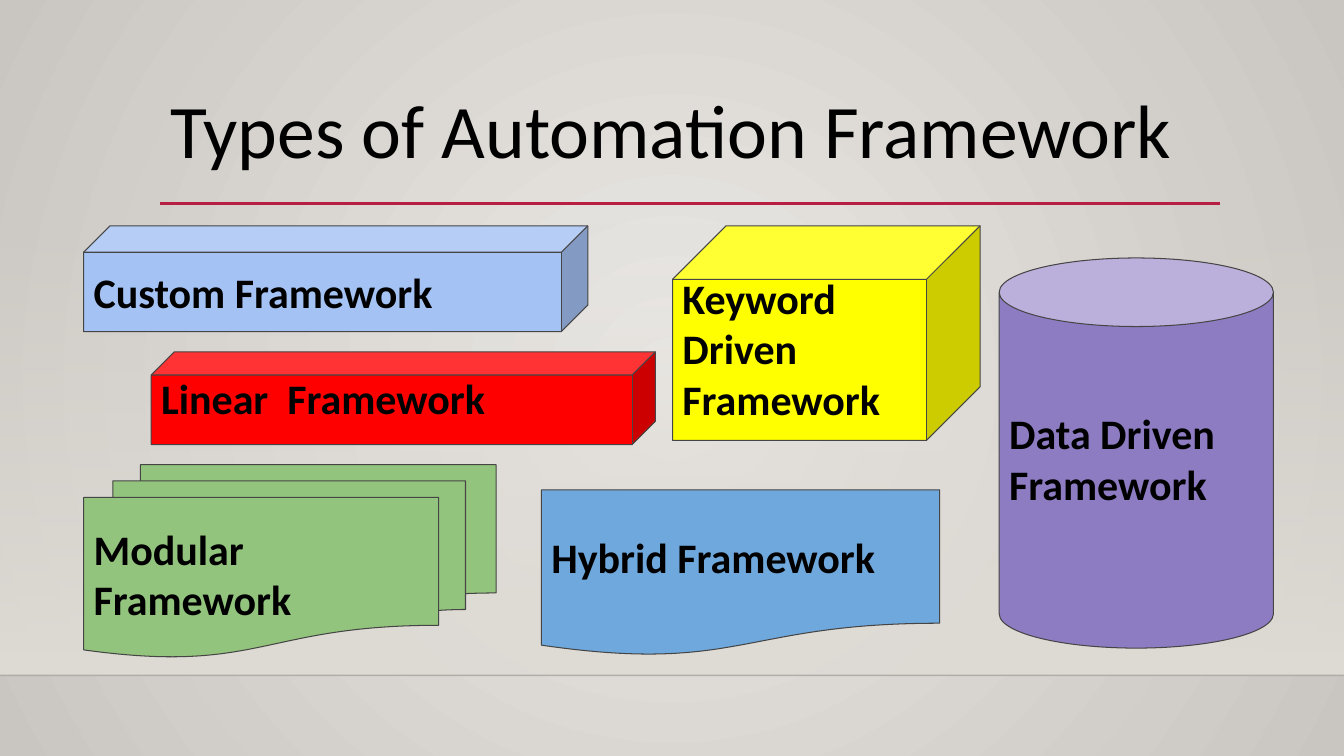
from lxml.etree import SubElement
from pptx import Presentation
from pptx.dml.color import RGBColor
from pptx.enum.shapes import MSO_CONNECTOR, MSO_SHAPE
from pptx.enum.text import MSO_ANCHOR, PP_ALIGN
from pptx.oxml.ns import qn
from pptx.util import Inches, Pt


def color(code):
    return RGBColor.from_string(code)


def fade(node, percent):
    """Set the opacity of a colour node."""
    SubElement(node, qn("a:alpha")).set("val", str(percent * 1000))


class Board:
    font, ink, edge = "Calibri", "000000", "454545"

    def __init__(self, slide):
        self.slide = slide

    def blend(self, fill, first, last):
        fill.gradient()
        for stop, code in zip(fill.gradient_stops, (first, last)):
            stop.color.rgb = color(code)

    def backdrop(self, inner, outer):
        self.blend(self.slide.background.fill, inner, outer)
        lin = self.slide.element.find(".//" + qn("a:lin"))
        grad = lin.getparent()
        grad.remove(lin)
        glow = SubElement(grad, qn("a:path"))
        glow.set("path", "circle")
        rect = SubElement(glow, qn("a:fillToRect"))
        for side in "ltrb":
            rect.set(side, "50000")

    def shape(self, kind, box):
        item = self.slide.shapes.add_shape(kind, *map(Inches, box))
        item.shadow.inherit = False
        return item

    def veil(self, box, code):
        item = self.shape(MSO_SHAPE.RECTANGLE, box)
        item.line.fill.background()
        self.blend(item.fill, code, code)
        item.fill.gradient_angle = 270
        fade(item.element.spPr.find(".//" + qn("a:srgbClr")), 0)

    def rule(self, left, right, y, code, width, alpha=100):
        line = self.slide.shapes.add_connector(
            MSO_CONNECTOR.STRAIGHT, *map(Inches, (left, y, right, y)))
        line.line.color.rgb = color(code)
        line.line.width = Pt(width)
        if alpha < 100:
            fade(line.element.spPr.find(".//" + qn("a:srgbClr")), alpha)
        SubElement(line.element.spPr, qn("a:effectLst"))

    def label(self, frame, text, size, bold=False):
        frame.word_wrap = True
        para = frame.paragraphs[0]
        para.alignment = PP_ALIGN.LEFT
        run = para.add_run()
        run.text = text
        run.font.name = self.font
        run.font.size = Pt(size)
        run.font.bold = bold
        run.font.color.rgb = color(self.ink)
        return para

    def title(self, box, text):
        frame = self.slide.shapes.add_textbox(*map(Inches, box)).text_frame
        frame.vertical_anchor = MSO_ANCHOR.TOP
        self.label(frame, text, 54).line_spacing = 0.9

    def block(self, kind, box, code, text, lift=0):
        item = self.shape(kind, box)
        item.fill.solid()
        item.fill.fore_color.rgb = color(code)
        item.line.color.rgb = color(self.edge)
        item.line.width = Pt(0.75)
        if len(item.adjustments):
            item.adjustments[0] = 0.25
        frame = item.text_frame
        frame.vertical_anchor = MSO_ANCHOR.MIDDLE
        frame.margin_left = frame.margin_right = Inches(0.1)
        frame.margin_top = Inches(0.1)
        frame.margin_bottom = Inches(0.1 + lift)
        self.label(frame, text, 30, True).space_before = Pt(10)


def main():
    deck = Presentation()
    deck.slide_width, deck.slide_height = Inches(13.33), Inches(7.5)
    board = Board(deck.slides.add_slide(deck.slide_layouts[6]))

    # Backdrop and floor line
    board.backdrop("EBE9E6", "C9C5C0")
    board.veil((0, 2.21, 13.33, 4.49), "DFDBD5")
    board.rule(0, 13.33, 6.7, "000001", 1, 20)

    # Title and its underline
    board.rule(1.59, 12.1, 2.02, "B71E42", 2.5)
    board.title((1.59, 0.88, 10.5, 1.15), "Types of Automation Framework")

    # Framework types; lift raises the label above the middle
    cube, lift = MSO_SHAPE.CUBE, 0.24
    for block in (
        (cube, (0.83, 2.24, 5, 1.05), "A4C2F4", "Custom Framework"),
        (cube, (1.5, 3.49, 5, 0.92), "FF0000", "Linear  Framework", lift),
        (cube, (6.67, 2.24, 3.05, 2.13), "FFFF00",
         "Keyword Driven Framework", lift),
        (MSO_SHAPE.CAN, (9.91, 2.56, 2.72, 3.87), "8E7CC3",
         "Data Driven Framework", lift),
        (MSO_SHAPE.FLOWCHART_MULTIDOCUMENT, (0.83, 4.61, 4.09, 1.91),
         "93C47D", "Modular Framework"),
        (MSO_SHAPE.FLOWCHART_DOCUMENT, (5.37, 4.86, 3.95, 1.65),
         "6FA8DC", "Hybrid Framework"),
    ):
        board.block(*block)

    deck.save("out.pptx")


if __name__ == "__main__":
    main()
